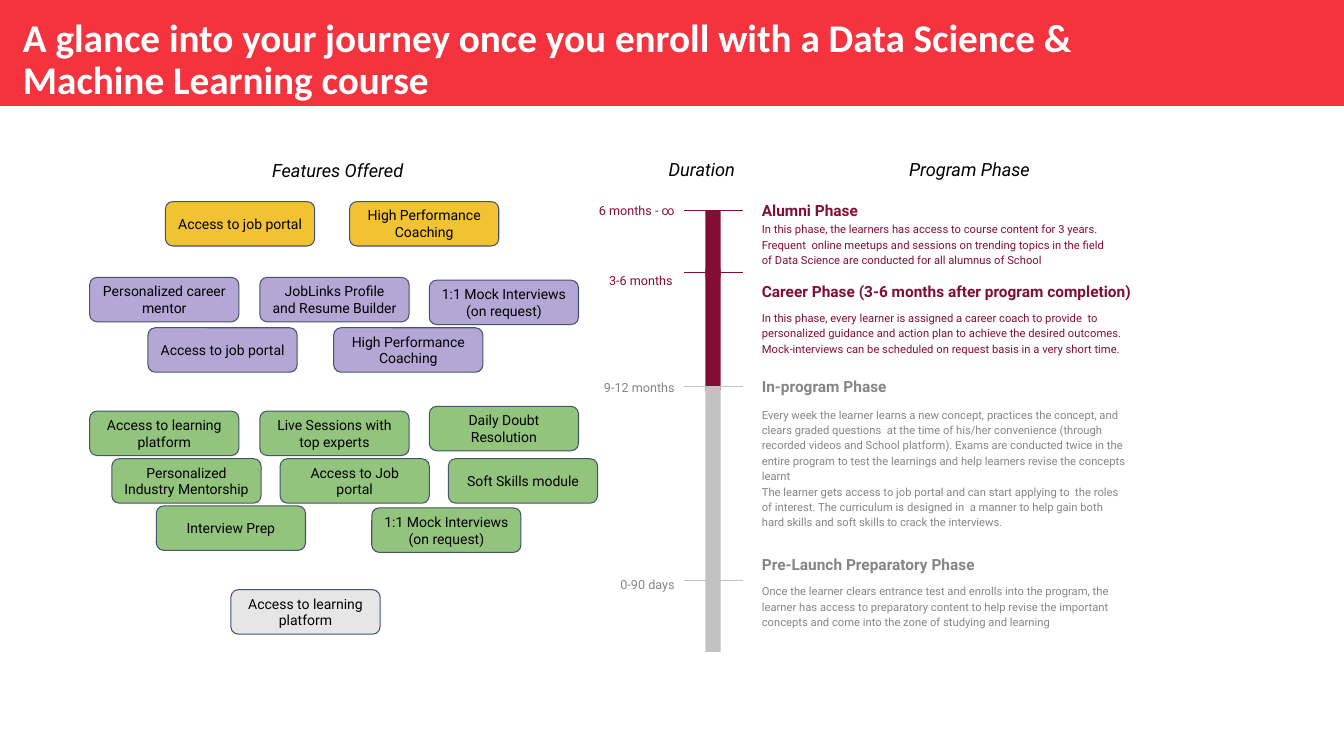
"""Build the slide that maps learner features to durations and program phases."""
import pptx
import pptx.dml.color
import pptx.enum.shapes
import pptx.enum.text
import pptx.oxml.ns
import pptx.util

Cm, Pt = pptx.util.Cm, pptx.util.Pt
ALIGN = pptx.enum.text.PP_ALIGN
ANCHOR = pptx.enum.text.MSO_ANCHOR
SHAPE = pptx.enum.shapes.MSO_SHAPE

TITLE = "A glance into your journey once you enroll with a Data Science & Machine Learning course"

HEADERS = [
    ("Features Offered", 4.65, 3.76, 7.72, ALIGN.CENTER),
    ("Duration", 15.98, 3.73, 2.79, ALIGN.RIGHT),
    ("Program Phase", 22.66, 3.73, 5.77, ALIGN.LEFT),
]

FEATURES = {
    "F1C232": [
        ("Access to job portal", 4.17, 5.08),
        ("High Performance Coaching", 8.81, 5.08),
    ],
    "B4A7D6": [
        ("Personalized career mentor", 2.26, 6.99),
        ("JobLinks Profile and Resume Builder", 6.55, 6.99),
        ("1:1 Mock Interviews (on request)", 10.82, 7.06),
        ("Access to job portal", 3.73, 8.26),
        ("High Performance Coaching", 8.41, 8.26),
    ],
    "93C47D": [
        ("Access to learning platform", 2.26, 10.36),
        ("Live Sessions with top experts", 6.55, 10.36),
        ("Daily Doubt Resolution", 10.82, 10.24),
        ("Personalized Industry Mentorship", 2.82, 11.56),
        ("Access to Job portal", 7.06, 11.56),
        ("Soft Skills module", 11.3, 11.56),
        ("Interview Prep", 3.94, 12.75),
        ("1:1 Mock Interviews (on request)", 9.37, 12.8),
    ],
    "E7E6E6": [("Access to learning platform", 5.82, 14.86)],
}

PHASES = [
    dict(name="Alumni Phase", duration="6 months - ∞", bar=(5.31, 1.68), tick=5.31,
         name_y=4.75, body_y=5.31, body_w=9.47, label=(17.25, 4.83),
         color="840D35", ink="840D35", body=[
             "In this phase, the learners has access to course content for 3 years. "
             "Frequent  online meetups and sessions on trending topics in the field "
             "of Data Science are conducted for all alumnus of School"]),
    dict(name="Career Phase (3-6 months after program completion)",
         duration="3-6 months", bar=(6.78, 3.05), tick=6.86,
         name_y=6.78, body_y=7.54, body_w=10.16, label=(17.2, 6.6),
         color="840D35", ink="840D35", body=[
             "In this phase, every learner is assigned a career coach to provide  to "
             "personalized guidance and action plan to achieve the desired outcomes. "
             "Mock-interviews can be scheduled on request basis in a very short time."]),
    dict(name="In-program Phase", duration="9-12 months", bar=(9.75, 4.93), tick=9.75,
         name_y=9.19, body_y=9.98, body_w=9.7, label=(17.25, 9.3),
         color="C2C2C2", ink="858585", body=[
             "Every week the learner learns a new concept, practices the concept, and "
             "clears graded questions  at the time of his/her convenience (through "
             "recorded videos and School platform). Exams are conducted twice in the "
             "entire program to test the learnings and help learners revise the "
             "concepts learnt",
             "The learner gets access to job portal and can start applying to  the roles "
             "of interest. The curriculum is designed in  a manner to help gain both "
             "hard skills and soft skills to crack the interviews."]),
    dict(name="Pre-Launch Preparatory Phase", duration="0-90 days", bar=(14.63, 1.8),
         tick=14.63, name_y=13.67, body_y=14.43, body_w=9.7, label=(17.25, 14.25),
         color="C2C2C2", ink="858585", body=[
             "Once the learner clears entrance test and enrolls into the program, the "
             "learner has access to preparatory content to help revise the important "
             "concepts and come into the zone of studying and learning"]),
]

SLIDE_W, SLIDE_H, BANNER_H = 33.87, 19.05, 2.67
BOX_W, BOX_H = 3.76, 1.12
BAR_X, BAR_W = 17.78, 0.38
TICK_X, TICK_END = 17.25, 18.72
TEXT_X, NAME_W, LABEL_W = 18.95, 10.16, 2.82
INSET = 0.25


def rgb(value):
    return pptx.dml.color.RGBColor.from_string(value)


def apply(obj, formats):
    for key, value in formats.items():
        setattr(obj, key, value)


def write(sp, lines, size, color, font="Roboto", align=ALIGN.LEFT, spacing=1.0,
          anchor=ANCHOR.TOP, inset_y=INSET, bold=False, italic=False):
    tf = sp.text_frame
    apply(tf, dict(word_wrap=True, vertical_anchor=anchor,
                   margin_left=Cm(INSET), margin_right=Cm(INSET),
                   margin_top=Cm(inset_y), margin_bottom=Cm(inset_y)))
    for i, line in enumerate(lines):
        p = tf.paragraphs[0] if i == 0 else tf.add_paragraph()
        apply(p, dict(alignment=align, line_spacing=spacing))
        r = p.add_run()
        r.text = line
        apply(r.font, dict(name=font, size=Pt(size), bold=bold, italic=italic))
        r.font.color.rgb = rgb(color)


def add_text(s, x, y, w, h, lines, size, color, **formats):
    sp = s.shapes.add_textbox(Cm(x), Cm(y), Cm(w), Cm(h))
    write(sp, lines, size, color, **formats)


def add_block(s, kind, x, y, w, h, fill, line=None):
    sp = s.shapes.add_shape(kind, Cm(x), Cm(y), Cm(w), Cm(h))
    sp.shadow.inherit = False
    sp.fill.solid()
    sp.fill.fore_color.rgb = rgb(fill)
    if line:
        sp.line.color.rgb = rgb(line)
        sp.line.width = Pt(0.75)
    else:
        sp.line.fill.background()
    return sp


def add_tick(s, y, color):
    sp = s.shapes.add_connector(pptx.enum.shapes.MSO_CONNECTOR.STRAIGHT,
                                Cm(TICK_X), Cm(y), Cm(TICK_END), Cm(y))
    sp.line.color.rgb = rgb(color)
    sp.line.width = Pt(0.75)
    effects = pptx.oxml.ns.qn("a:effectLst")
    sp._element.spPr.append(sp._element.makeelement(effects, {}))


def add_phase(s, phase):
    top, height = phase["bar"]
    right, label_y = phase["label"]
    ink = phase["ink"]
    add_block(s, SHAPE.RECTANGLE, BAR_X, top, BAR_W, height, phase["color"])
    add_tick(s, phase["tick"], phase["color"])
    add_text(s, TEXT_X, phase["name_y"], NAME_W, 0.76, [phase["name"]], 11, ink,
             spacing=1.15, bold=True)
    add_text(s, TEXT_X, phase["body_y"], phase["body_w"], 1.14, phase["body"], 8, ink,
             spacing=1.15)
    add_text(s, right - LABEL_W, label_y, LABEL_W, 0.97, [phase["duration"]], 9, ink,
             spacing=1.15, align=ALIGN.RIGHT)


def main():
    prs = pptx.Presentation()
    apply(prs, dict(slide_width=Cm(SLIDE_W), slide_height=Cm(SLIDE_H)))
    s = prs.slides.add_slide(prs.slide_layouts[6])

    add_block(s, SHAPE.RECTANGLE, 0, 0, SLIDE_W, BANNER_H, "F4333F")
    add_text(s, 0.33, 0.33, 28.8, 1.83, [TITLE], 28, "FFFFFF", font="Calibri",
             spacing=0.9, inset_y=0.13, bold=True)

    for phase in PHASES:
        add_phase(s, phase)
    for text, x, y, w, align in HEADERS:
        add_text(s, x, y, w, 1.07, [text], 13, "000000", align=align, italic=True)
    for fill, boxes in FEATURES.items():
        for text, x, y in boxes:
            sp = add_block(s, SHAPE.FLOWCHART_ALTERNATE_PROCESS, x, y, BOX_W, BOX_H,
                           fill, "44546A")
            write(sp, [text], 10, "000000", align=ALIGN.CENTER, anchor=ANCHOR.MIDDLE)

    prs.save("out.pptx")


if __name__ == "__main__":
    main()
